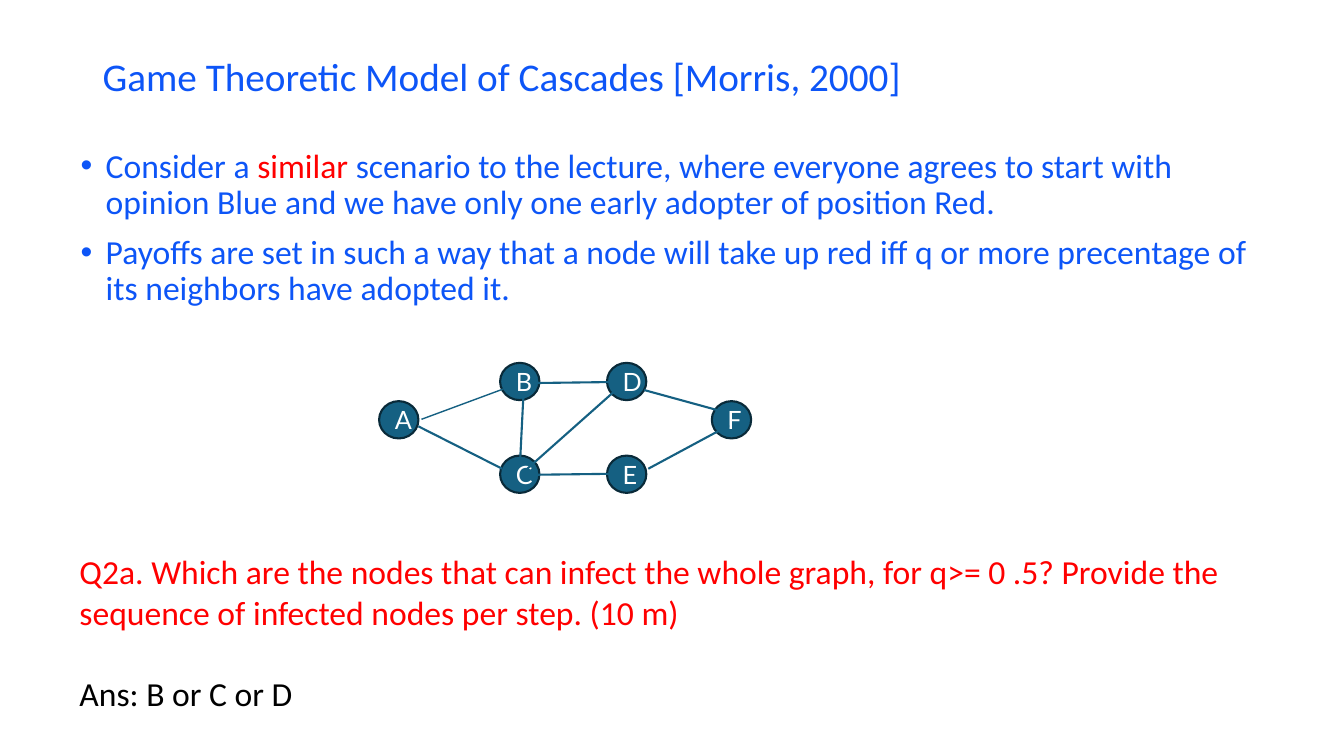
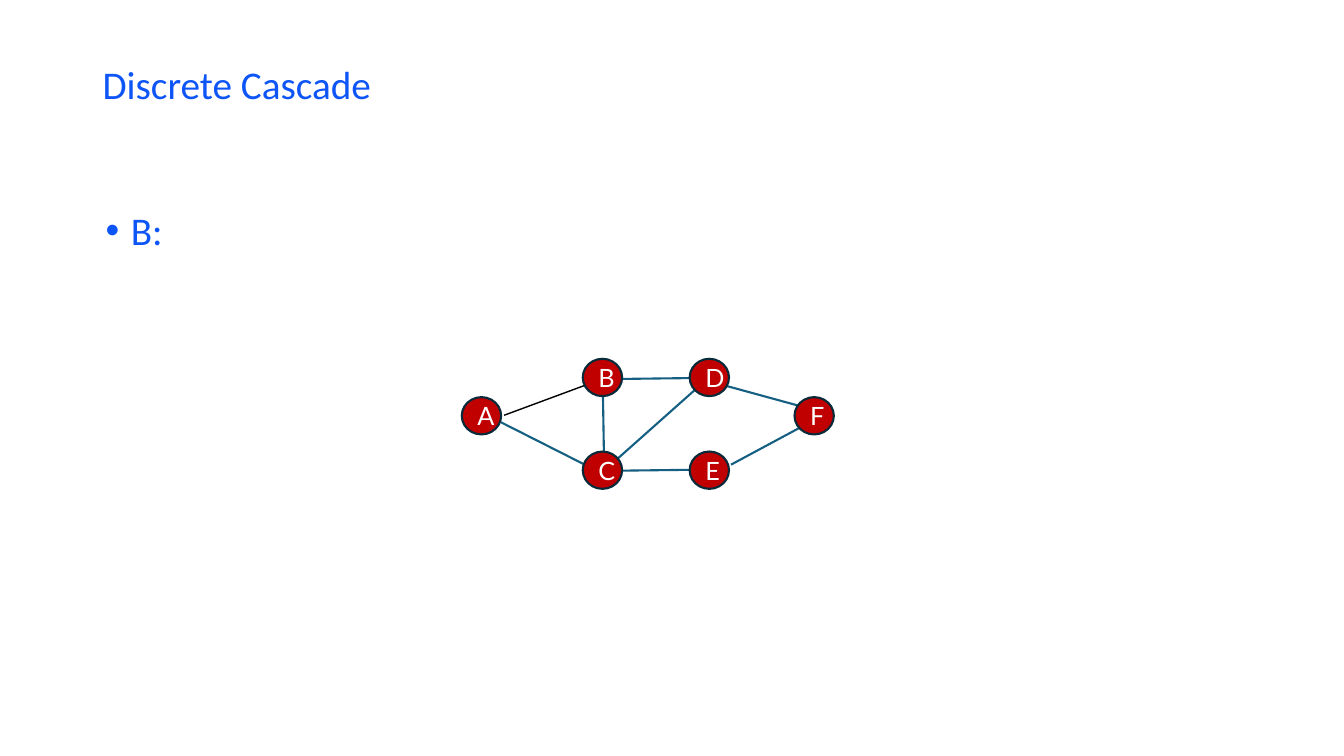
"""Build two slides about a cascade of opinions in a small graph."""
from dataclasses import dataclass

from lxml.etree import SubElement
from pptx import Presentation
from pptx.dml.color import RGBColor
from pptx.enum.shapes import MSO_CONNECTOR as Link, MSO_SHAPE as Preset
from pptx.enum.text import MSO_ANCHOR as Anchor, PP_ALIGN as Align
from pptx.oxml.ns import qn
from pptx.util import Pt

PX = 9144
NODE_WIDTH, NODE_HEIGHT = 39, 37
BULLET_INDENT = 25


@dataclass(frozen=True)
class Theme:
    """Colours, fonts and type sizes that the slides share."""
    blue: str = "0D55F7"
    red: str = "FF0000"
    black: str = "000000"
    white: str = "FFFFFF"
    teal: str = "156082"
    infected: str = "C00000"
    outline: str = "092A39"
    text_font: str = "Calibri"
    node_font: str = "Lato"
    title_size: int = 28
    body_size: int = 24
    node_size: int = 18


THEME = Theme()

NODES = {"A": (0, 38), "B": (120, 0), "C": (120, 92),
         "D": (226, 0), "E": (226, 92), "F": (330, 38)}

EDGES = {"AC": (39, 63, 122, 105), "AB": (42, 56, 123, 26),
         "BC": (140, 35, 141, 94), "DC": (240, 23, 149, 104),
         "DB": (233, 19, 154, 20), "EC": (234, 110, 155, 111),
         "FE": (347, 62, 267, 105), "FD": (336, 47, 263, 27)}


def px(*lengths):
    """Turn lengths in px into EMU."""
    return [length * PX for length in lengths]


def add_bullet(para):
    """Give a paragraph a hanging round bullet."""
    props = para._p.get_or_add_pPr()
    props.set("marL", str(BULLET_INDENT * PX))
    props.set("indent", str(-BULLET_INDENT * PX))
    SubElement(props, qn("a:buFont"), typeface="Arial")
    SubElement(props, qn("a:buChar"), char="•")


def write_para(para, spans, *, size, font=THEME.text_font, align=Align.LEFT,
               spacing=None, before=0, bullet=False):
    """Fill a paragraph with (text, colour) spans in one format."""
    para.alignment = align
    para.line_spacing = spacing
    para.space_before = Pt(before)
    if bullet:
        add_bullet(para)
    for text, colour in spans:
        span = para.add_run()
        span.text = text
        span.font.name = font
        span.font.size = Pt(size)
        span.font.color.rgb = RGBColor.from_string(colour)


def add_text(page, place, paras, *, anchor=Anchor.TOP, **style):
    """Add a wrapped text box with one paragraph per list of spans."""
    frame = page.shapes.add_textbox(*px(*place)).text_frame
    frame.word_wrap = True
    frame.vertical_anchor = anchor
    for index, spans in enumerate(paras):
        para = frame.add_paragraph() if index else frame.paragraphs[0]
        write_para(para, spans, **style)
    return frame


def add_title(page, text, height):
    """Add the slide title."""
    add_text(page, (92, 40, 1150, height), [[(text, THEME.blue)]],
             anchor=Anchor.MIDDLE, size=THEME.title_size, spacing=0.9)


def add_bullets(page, place, paras, size):
    """Add a bulleted list."""
    add_text(page, place, paras, size=size, spacing=0.9, before=10, bullet=True)


def add_node(page, left, top, label, fill):
    """Add one labelled graph node."""
    node = page.shapes.add_shape(
        Preset.OVAL, *px(left, top, NODE_WIDTH, NODE_HEIGHT))
    node.shadow.inherit = False
    node.fill.solid()
    node.fill.fore_color.rgb = RGBColor.from_string(fill)
    node.line.color.rgb = RGBColor.from_string(THEME.outline)
    node.line.width = Pt(1.5)
    node.text_frame.vertical_anchor = Anchor.MIDDLE
    write_para(node.text_frame.paragraphs[0], [(label, THEME.white)],
               size=THEME.node_size, font=THEME.node_font, align=Align.CENTER)


def add_edge(page, ends, colour, width):
    """Add one straight graph edge."""
    edge = page.shapes.add_connector(Link.STRAIGHT, *px(*ends))
    edge.line.color.rgb = RGBColor.from_string(colour)
    edge.line.width = Pt(width)
    SubElement(edge.element.spPr, qn("a:effectLst"))


def add_graph(page, left, top, *, fill, thin_colour, edges, edges_on_top):
    """Add the graph with its edges above or below the nodes."""
    def draw_nodes():
        """Draw every node."""
        for label, (dx, dy) in NODES.items():
            add_node(page, left + dx, top + dy, label, fill)

    def draw_edges():
        """Draw every edge, with the one from A to B thin."""
        for name, (x1, y1, x2, y2) in edges.items():
            colour, width = (thin_colour, 1) if name == "AB" else (THEME.teal, 1.5)
            add_edge(page, (left + x1, top + y1, left + x2, top + y2),
                     colour, width)

    layers = [draw_nodes, draw_edges]
    for draw in layers if edges_on_top else reversed(layers):
        draw()


def build_question(page):
    """Build the slide that states the model and the question."""
    add_title(page, "Game Theoretic Model of Cascades [Morris, 2000]", 77)
    add_bullets(page, (70, 143, 1205, 346), [
        [("Consider a ", THEME.blue), ("similar ", THEME.red),
         ("scenario to the lecture, where everyone agrees to start with "
          "opinion Blue and we have only one early adopter of position Red.",
          THEME.blue)],
        [("Payoffs are set in such a way that a node will take up red iff q "
          "or more precentage of its neighbors have adopted it.", THEME.blue)],
    ], THEME.body_size)
    edges = EDGES | {"BC": (143, 35, 140, 95), "DC": (237, 25, 147, 105)}
    add_graph(page, 376, 360, fill=THEME.teal, thin_colour=THEME.teal,
              edges=edges, edges_on_top=True)
    question = add_text(page, (69, 542, 1203, 172), [
        [("Q2a. Which are the nodes that can infect the whole graph, for "
          "q>= 0 .5? Provide the sequence of infected nodes per step. (10 m)",
          THEME.red)],
    ], size=THEME.body_size)
    write_para(question.add_paragraph(), [("Ans: B or C or D", THEME.black)],
               size=THEME.body_size, before=29)


def build_cascade(page):
    """Build the slide that shows the infected graph."""
    add_title(page, "Discrete Cascade", 93)
    add_bullets(page, (95, 205, 1001, 55), [[("B:", THEME.blue)]],
                THEME.title_size)
    add_graph(page, 458, 356, fill=THEME.infected, thin_colour=THEME.black,
              edges=EDGES, edges_on_top=False)


def main():
    """Build and save the deck."""
    deck = Presentation()
    deck.slide_width, deck.slide_height = px(1333, 750)
    blank = deck.slide_layouts[6]
    for build in (build_question, build_cascade):
        build(deck.slides.add_slide(blank))
    deck.save("out.pptx")


if __name__ == "__main__":
    main()
